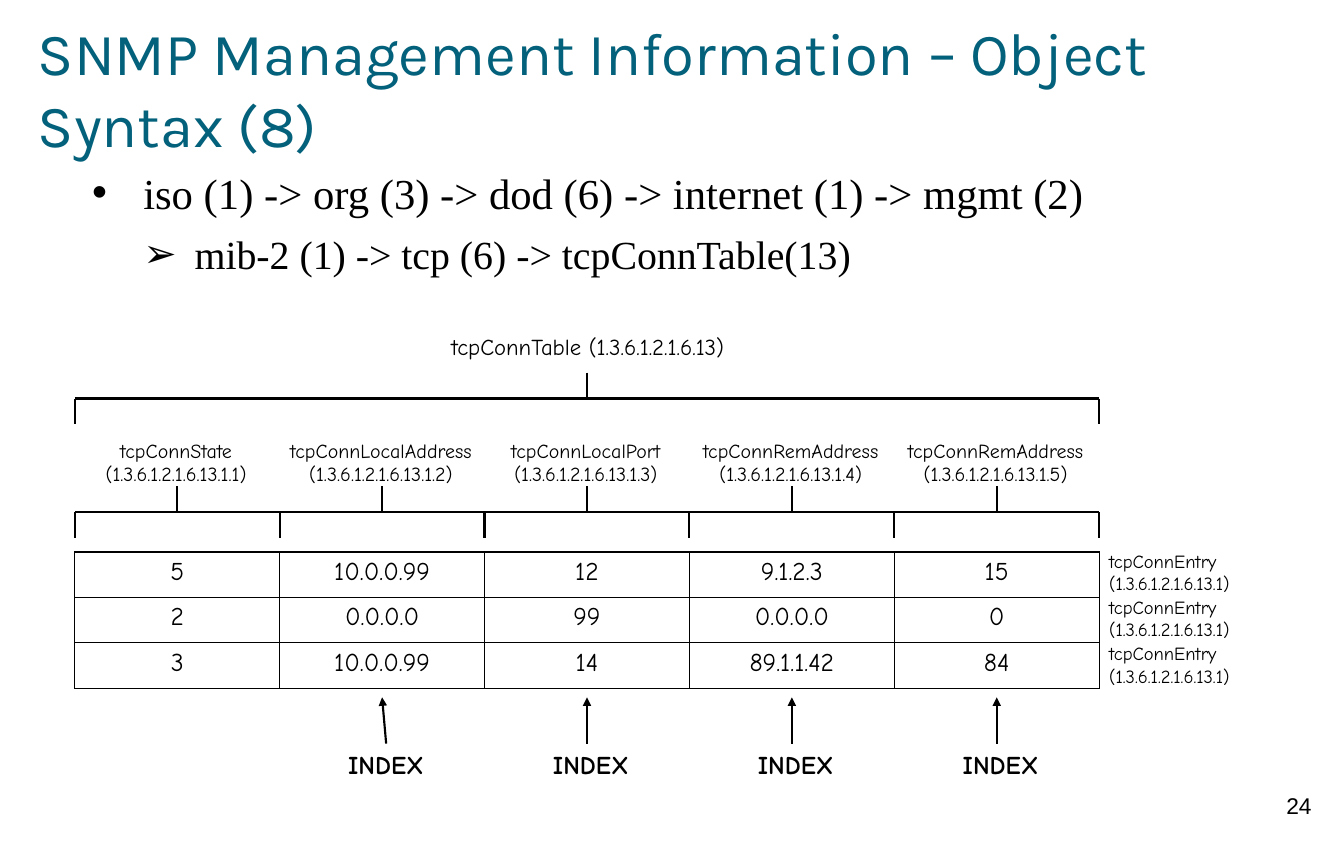
from dataclasses import dataclass

from pptx import Presentation
from pptx.dml.color import RGBColor
from pptx.enum.shapes import MSO_CONNECTOR
from pptx.enum.text import MSO_ANCHOR, MSO_AUTO_SIZE, PP_ALIGN
from pptx.oxml.ns import qn
from pptx.util import Inches, Length, Pt
from lxml.etree import SubElement

BLACK = RGBColor(0x00, 0x00, 0x00)
TEAL = RGBColor(0x04, 0x61, 0x7B)
COMIC = "Comic Neue"

# Grid: the cells of the connection table, with its top left corner as origin
LEFT, TOP = 0.73, 5.39
COL_W, ROW_H = 2.0, 1.33 / 3


@dataclass(frozen=True)
class Box:
    """An area measured in grid columns and rows."""
    col: float
    row: float
    cols: float
    rows: float

    def place(self) -> tuple[Length, Length, Length, Length]:
        return (x(self.col), y(self.row),
                Inches(self.cols * COL_W), Inches(self.rows * ROW_H))


@dataclass(frozen=True)
class Bracket:
    """A bar with one stem above each section and teeth at the section ends."""
    bar: float
    teeth: tuple[float, ...]
    stems: tuple[float, ...]


@dataclass(frozen=True)
class Bullet:
    text: str
    char: str
    size: int
    margin: float


def x(col: float) -> Length:
    return Inches(LEFT + col * COL_W)


def y(row: float) -> Length:
    return Inches(TOP + row * ROW_H)


def write(tf, text: str, *, size: int, font: str = COMIC, color: RGBColor = BLACK,
          bold: bool = False, align=PP_ALIGN.CENTER) -> None:
    """Write one paragraph for each line of the text."""
    tf.word_wrap = True
    for i, line in enumerate(text.split("\n")):
        p = tf.paragraphs[0] if i == 0 else tf.add_paragraph()
        p.alignment = align
        r = p.add_run()
        r.text = line
        r.font.size, r.font.name, r.font.bold = Pt(size), font, bold
        r.font.color.rgb = color


def set_margins(tf, inches: float) -> None:
    tf.margin_left = tf.margin_right = tf.margin_top = tf.margin_bottom = Inches(inches)


def add_label(s, box: Box, text: str, **fmt):
    tf = s.shapes.add_textbox(*box.place()).text_frame
    write(tf, text, **fmt)
    return tf


def add_line(s, start: tuple[float, float], end: tuple[float, float],
             arrow: bool = False) -> None:
    sp = s.shapes.add_connector(MSO_CONNECTOR.STRAIGHT, x(start[0]), y(start[1]),
                                x(end[0]), y(end[1]))
    sp.line.color.rgb = BLACK
    sp.line.width = Pt(1.5)
    if arrow:
        SubElement(sp.line._get_or_add_ln(), qn("a:tailEnd"), type="triangle")
    SubElement(sp._element.spPr, qn("a:effectLst"))


def add_bracket(s, b: Bracket) -> None:
    depth = 0.57
    add_line(s, (b.teeth[0], b.bar), (b.teeth[-1], b.bar))
    for col in b.teeth:
        add_line(s, (col, b.bar), (col, b.bar + depth))
    for col in b.stems:
        add_line(s, (col, b.bar - depth), (col, b.bar))


def add_bullets(s, box: Box, bullets: list[Bullet]) -> None:
    text = "\n".join(b.text for b in bullets)
    tf = add_label(s, box, text, size=30, font="Times New Roman", align=PP_ALIGN.LEFT)
    set_margins(tf, 0)
    for level, (p, b) in enumerate(zip(tf.paragraphs, bullets)):
        p.level = level
        p.line_spacing, p.space_before = 1.15, Pt(3.5)
        p.runs[0].font.size = Pt(b.size)
        pPr = p._p.get_or_add_pPr()
        pPr.set("marL", str(Inches(b.margin)))
        pPr.set("indent", str(Inches(-0.5)))
        SubElement(SubElement(pPr, qn("a:buClr")), qn("a:srgbClr"), val=str(BLACK))
        SubElement(pPr, qn("a:buFont"), typeface="Arial")
        SubElement(pPr, qn("a:buChar"), char=b.char)


def set_borders(cell) -> None:
    tcPr = cell._tc.get_or_add_tcPr()
    for i, side in enumerate(("lnL", "lnR", "lnT", "lnB")):
        ln = tcPr.makeelement(qn(f"a:{side}"), {"w": str(Pt(1))})
        fill = SubElement(ln, qn("a:solidFill"))
        SubElement(fill, qn("a:srgbClr"), val=str(BLACK))
        tcPr.insert(i, ln)


def add_grid_table(s, rows: list[list[str]]) -> None:
    n_rows, n_cols = len(rows), len(rows[0])
    table = s.shapes.add_table(n_rows, n_cols, *Box(0, 0, n_cols, n_rows).place()).table
    table.first_row = table.horz_banding = False
    for i, row in enumerate(rows):
        for j, value in enumerate(row):
            cell = table.cell(i, j)
            write(cell.text_frame, value, size=18)
            cell.fill.background()
            set_borders(cell)


HEADERS = ["tcpConnState", "tcpConnLocalAddress", "tcpConnLocalPort",
           "tcpConnRemAddress", "tcpConnRemAddress"]
ENTRIES = [
    ["5", "10.0.0.99", "12", "9.1.2.3", "15"],
    ["2", "0.0.0.0", "99", "0.0.0.0", "0"],
    ["3", "10.0.0.99", "14", "89.1.1.42", "84"],
]
BULLETS = [
    Bullet("iso (1) -> org (3) -> dod (6) -> internet (1) -> mgmt (2)", "•", 30, 0.75),
    Bullet("mib-2 (1) -> tcp (6) -> tcpConnTable(13)", "➢", 28, 1.25),
]
BRACKETS = [
    Bracket(-3.38, (0, 5), (2.5,)),
    Bracket(-0.88, (0, 1, 2, 3, 4, 5), (0.5, 1.5, 2.5, 3.5, 4.5)),
]
# Index columns, each with the sideways shift of its arrow's foot
INDEX_SHIFTS = {1: 0.02, 2: 0, 3: 0, 4: 0}


def main() -> None:
    prs = Presentation()
    prs.slide_width, prs.slide_height = Inches(13.12), Inches(8.27)
    s = prs.slides.add_slide(prs.slide_layouts[5])

    # Title, bullets and page number
    title = s.shapes.title
    title.left, title.top, title.width, title.height = Box(-0.18, -11.78, 6.2, 3.11).place()
    tf = title.text_frame
    set_margins(tf, 0)
    tf.auto_size, tf.vertical_anchor = MSO_AUTO_SIZE.NONE, MSO_ANCHOR.MIDDLE
    write(tf, "SNMP Management Information – Object Syntax (8)",
          size=42, font="Karla", color=TEAL, align=PP_ALIGN.LEFT)
    add_bullets(s, Box(-0.04, -8.66, 5.92, 2.62), BULLETS)
    set_margins(add_label(s, Box(5.78, 5.05, 0.39, 1.42), "24", size=16, font="Arial"), 0.1)

    # Table name, column names and their brackets
    add_label(s, Box(1.64, -4.94, 1.73, 0.83), "tcpConnTable (1.3.6.1.2.1.6.13)", size=16)
    for i, name in enumerate(HEADERS):
        add_label(s, Box(i - 0.08, -2.62, 1.15, 1.29),
                  f"{name}\n(1.3.6.1.2.1.6.13.1.{i + 1})", size=14)
    for bracket in BRACKETS:
        add_bracket(s, bracket)

    # Table with a name beside each row
    add_grid_table(s, ENTRIES)
    for i in range(len(ENTRIES)):
        add_label(s, Box(5, 1.02 * i - 0.16, 0.97, 1.22),
                  "tcpConnEntry\n(1.3.6.1.2.1.6.13.1)", size=13, align=PP_ALIGN.LEFT)

    # Arrows to the index columns
    for col, shift in INDEX_SHIFTS.items():
        add_label(s, Box(col + 0.25, 4.22, 0.54, 0.9), "INDEX", size=18, bold=True)
        add_line(s, (col + 0.5 + shift, 4.22), (col + 0.5, 3.2), arrow=True)

    prs.save("out.pptx")


if __name__ == "__main__":
    main()
